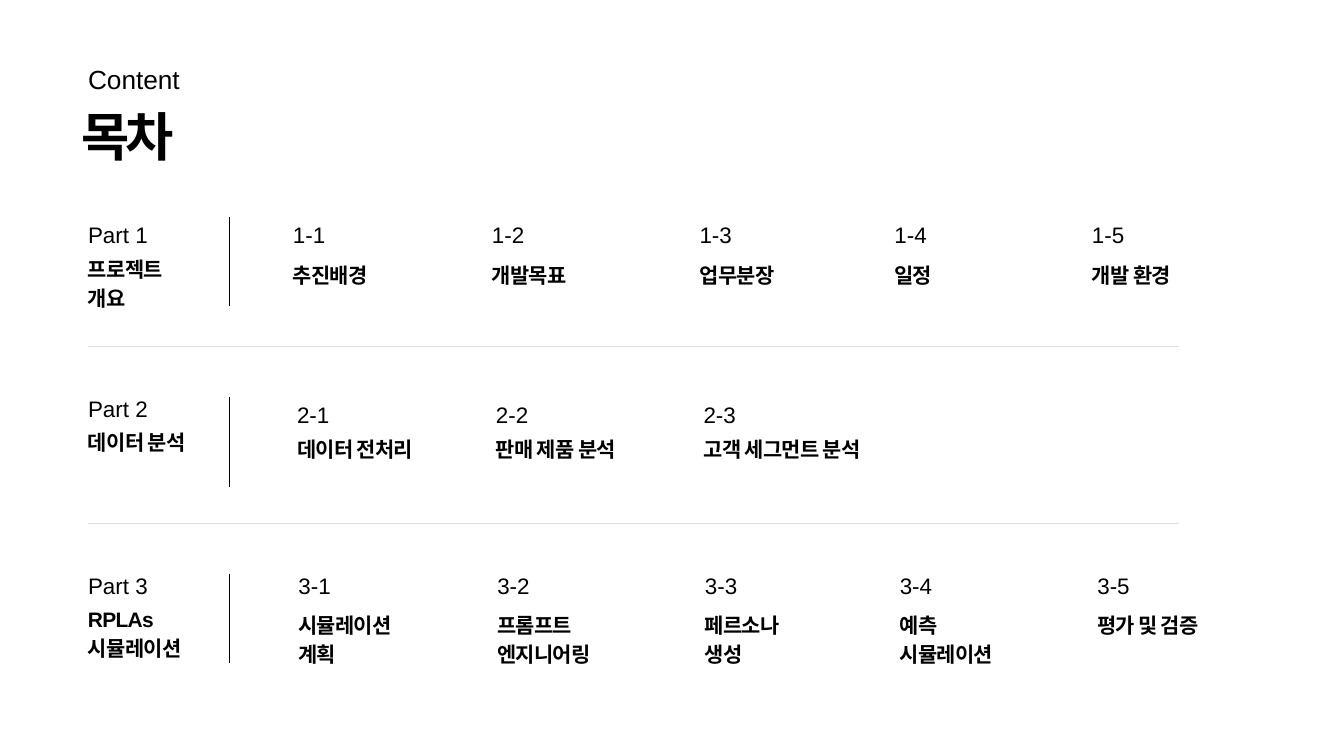
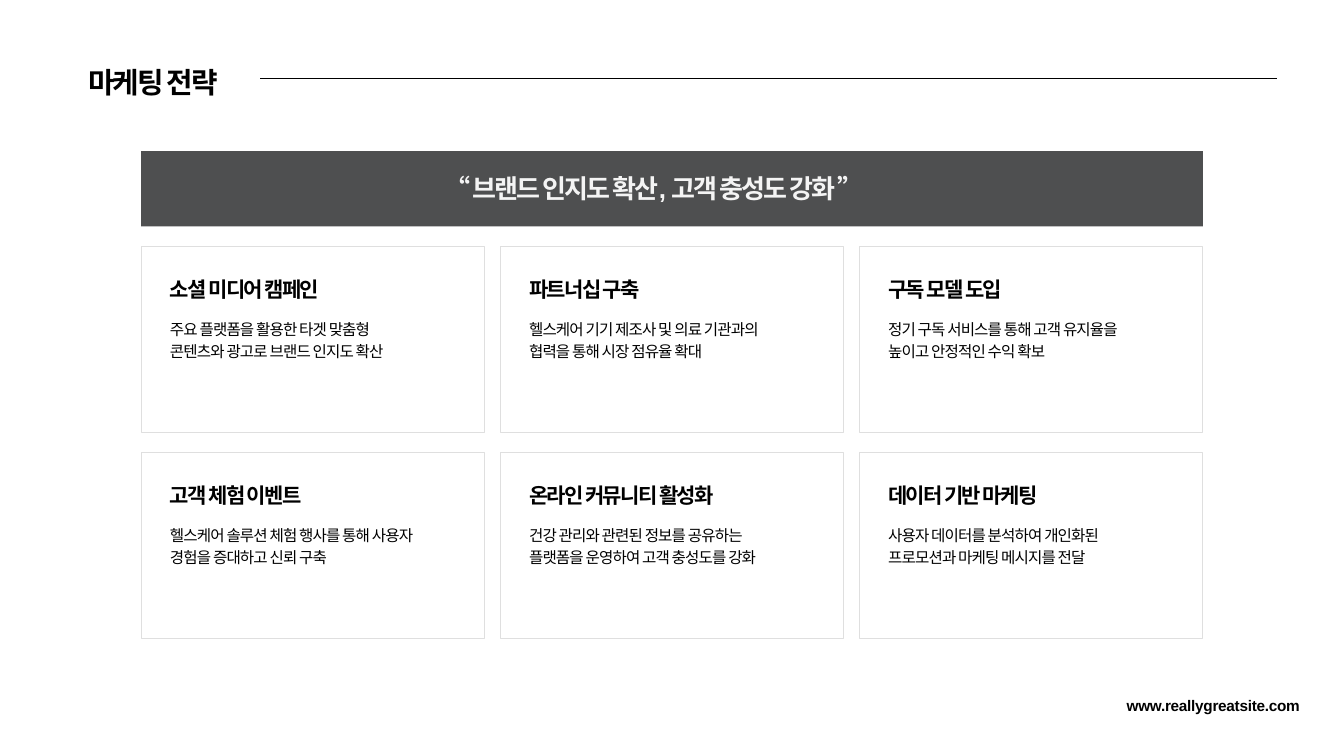
from pptx import Presentation
from pptx.dml.color import RGBColor
from pptx.enum.shapes import MSO_CONNECTOR, MSO_SHAPE
from pptx.enum.text import MSO_AUTO_SIZE, PP_ALIGN
from pptx.oxml.ns import qn
from pptx.util import Inches, Pt
from lxml.etree import SubElement

FONT = "Arial"
INK, RULE, BAND, PAPER, PALE = "000000", "DFDFDF", "4E4F50", "FFFFFF", "F4F4F4"
LEFT = 1.31

STYLES = {
    "eyebrow": dict(size=28.1, leading=39.4),
    "contents": dict(size=56.2, leading=59, bold=True, tracking=-3.8),
    "number": dict(size=24, leading=33.6),
    "topic": dict(size=22.4, leading=31.3, bold=True, tracking=-0.8),
    "heading": dict(size=30.9, leading=43.3, bold=True, tracking=-2),
    "slogan": dict(size=27.9, leading=32.1, bold=True, tracking=-2,
                   color=PALE, align=PP_ALIGN.CENTER),
    "card_title": dict(size=22.5, leading=31.5, bold=True, tracking=-1.8),
    "card_body": dict(size=16.7, leading=23.4, tracking=-0.9),
    "footer": dict(size=16.4, leading=22.9, bold=True, tracking=-0.3,
                   align=PP_ALIGN.RIGHT),
}

COLUMNS = [4.36, 7.32, 10.41, 13.31, 16.25]
PARTS = [
    dict(top=3.23, name="프로젝트\n개요", shift=0, divider_drop=0, item_drop=0,
         topic_drop=0.61,
         topics=["추진배경", "개발목표", "업무분장", "일정", "개발 환경"]),
    dict(top=5.81, name="데이터 분석", shift=0.06, divider_drop=0.1, item_drop=0.1,
         topic_drop=0.53,
         topics=["데이터 전처리", "판매 제품 분석", "고객 세그먼트 분석"]),
    dict(top=8.44, name="RPLAs\n시뮬레이션", shift=0.08, divider_drop=0.1, item_drop=0,
         topic_drop=0.61,
         topics=["시뮬레이션\n계획", "프롬프트\n엔지니어링", "페르소나\n생성",
                 "예측\n시뮬레이션", "평가 및 검증"]),
]

STRATEGIES = [
    ("소셜 미디어 캠페인", "주요 플랫폼을 활용한 타겟 맞춤형 콘텐츠와 광고로 브랜드 인지도 확산"),
    ("파트너십 구축", "헬스케어 기기 제조사 및 의료 기관과의 협력을 통해 시장 점유율 확대"),
    ("구독 모델 도입", "정기 구독 서비스를 통해 고객 유지율을 높이고 안정적인 수익 확보"),
    ("고객 체험 이벤트", "헬스케어 솔루션 체험 행사를 통해 사용자 경험을 증대하고 신뢰 구축"),
    ("온라인 커뮤니티 활성화", "건강 관리와 관련된 정보를 공유하는 플랫폼을 운영하여 고객 충성도를 강화"),
    ("데이터 기반 마케팅", "사용자 데이터를 분석하여 개인화된 프로모션과 마케팅 메시지를 전달"),
]


def rgb(color):
    """Turn a hex string into a colour."""
    return RGBColor.from_string(color)


def apply(target, values):
    """Set each named value on the target."""
    for name, value in values.items():
        setattr(target, name, value)


def write(slide, text, style, left, top, width, height):
    """Write text in a named style, one paragraph per line."""
    look = STYLES[style]
    frame = slide.shapes.add_textbox(*map(Inches, (left, top, width, height))).text_frame
    apply(frame, dict(margin_left=0, margin_top=0, margin_right=0, margin_bottom=0,
                      word_wrap=True, auto_size=MSO_AUTO_SIZE.SHAPE_TO_FIT_TEXT))
    frame.text = text
    for paragraph in frame.paragraphs:
        apply(paragraph, dict(alignment=look.get("align"), line_spacing=Pt(look["leading"])))
        for run in paragraph.runs:
            apply(run.font, dict(name=FONT, size=Pt(look["size"]),
                                 bold=look.get("bold", False)))
            run.font.color.rgb = rgb(look.get("color", INK))
            run.font._element.set("spc", str(round(look.get("tracking", 0) * 100)))


def draw_rule(slide, x1, y1, x2, y2, color=INK):
    """Draw a thin straight line."""
    rule = slide.shapes.add_connector(MSO_CONNECTOR.STRAIGHT, *map(Inches, (x1, y1, x2, y2)))
    rule.line.width = Pt(0.75)
    rule.line.color.rgb = rgb(color)
    SubElement(rule._element.spPr, qn("a:effectLst"))


def draw_panel(slide, left, top, width, height, fill, outline=None):
    """Draw a filled rectangle, outlined if asked."""
    panel = slide.shapes.add_shape(MSO_SHAPE.RECTANGLE,
                                   *map(Inches, (left, top, width, height)))
    panel.shadow.inherit = False
    panel.fill.solid()
    panel.fill.fore_color.rgb = rgb(fill)
    if outline:
        panel.line.width = Pt(0.75)
        panel.line.color.rgb = rgb(outline)
    else:
        panel.line.fill.background()


def add_part(slide, number, part):
    """Lay out one part of the contents from its top edge."""
    top = part["top"]
    write(slide, f"Part {number}", "number", LEFT, top, 1.18, 0.43)
    write(slide, part["name"], "topic", LEFT, top + 0.52, 1.56, 0.83)
    divider_top = top + part["divider_drop"]
    draw_rule(slide, 3.42, divider_top, 3.42, divider_top + 1.33)
    item_top = top + part["item_drop"]
    for index, (column, topic) in enumerate(zip(COLUMNS, part["topics"]), 1):
        left = column + part["shift"]
        write(slide, f"{number}-{index}", "number", left, item_top, 1.27, 0.43)
        write(slide, topic, "topic", left, item_top + part["topic_drop"], 3.2, 0.41)


def add_card(slide, left, top, width, height, title, body):
    """Place one strategy card."""
    draw_panel(slide, left, top, width, height, PAPER, RULE)
    write(slide, title, "card_title", left + 0.43, top + 0.39, 3.93, 0.4)
    write(slide, body, "card_body", left + 0.43, top + 1.05, 3.66, 0.63)


def add_card_grid(slide, left, top, width, height, columns=3, rows=2):
    """Share the box out into equal cards."""
    gap_x, gap_y = 0.23, 0.3
    card_width = (width - gap_x * (columns - 1)) / columns
    card_height = (height - gap_y * (rows - 1)) / rows
    for index, (title, body) in enumerate(STRATEGIES):
        row, column = divmod(index, columns)
        add_card(slide, left + column * (card_width + gap_x),
                 top + row * (card_height + gap_y), card_width, card_height, title, body)


def add_banner(slide, left, top, width, height, slogan):
    """Place the dark slogan band."""
    draw_panel(slide, left, top, width, height, BAND)
    write(slide, slogan, "slogan", left + 2.15, top + 0.33, 10.97, 0.45)


def build_contents(slide):
    """Build the table of contents."""
    write(slide, "Content", "eyebrow", LEFT, 0.86, 4.09, 0.5)
    write(slide, "목차", "contents", LEFT - 0.1, 1.67, 7.56, 0.84)
    for number, part in enumerate(PARTS, 1):
        add_part(slide, number, part)
    for y in (5.16, 7.79):
        draw_rule(slide, LEFT, y, 17.54, y, RULE)


def build_strategy(slide):
    """Build the marketing strategy slide."""
    write(slide, "마케팅 전략", "heading", LEFT, 0.87, 4.09, 0.56)
    draw_rule(slide, 3.87, 1.17, 19, 1.17)
    add_banner(slide, 2.1, 2.25, 15.8, 1.12, "“ 브랜드 인지도 확산, 고객 충성도 강화 ”")
    add_card_grid(slide, 2.1, 3.66, 15.8, 5.84)
    write(slide, "www.reallygreatsite.com", "footer", 15.93, 10.32, 3.41, 0.29)


def main():
    """Build and save the deck."""
    deck = Presentation()
    apply(deck, dict(slide_width=Inches(20), slide_height=Inches(11.25)))
    for build in (build_contents, build_strategy):
        build(deck.slides.add_slide(deck.slide_layouts[6]))
    deck.save("out.pptx")


if __name__ == "__main__":
    main()
